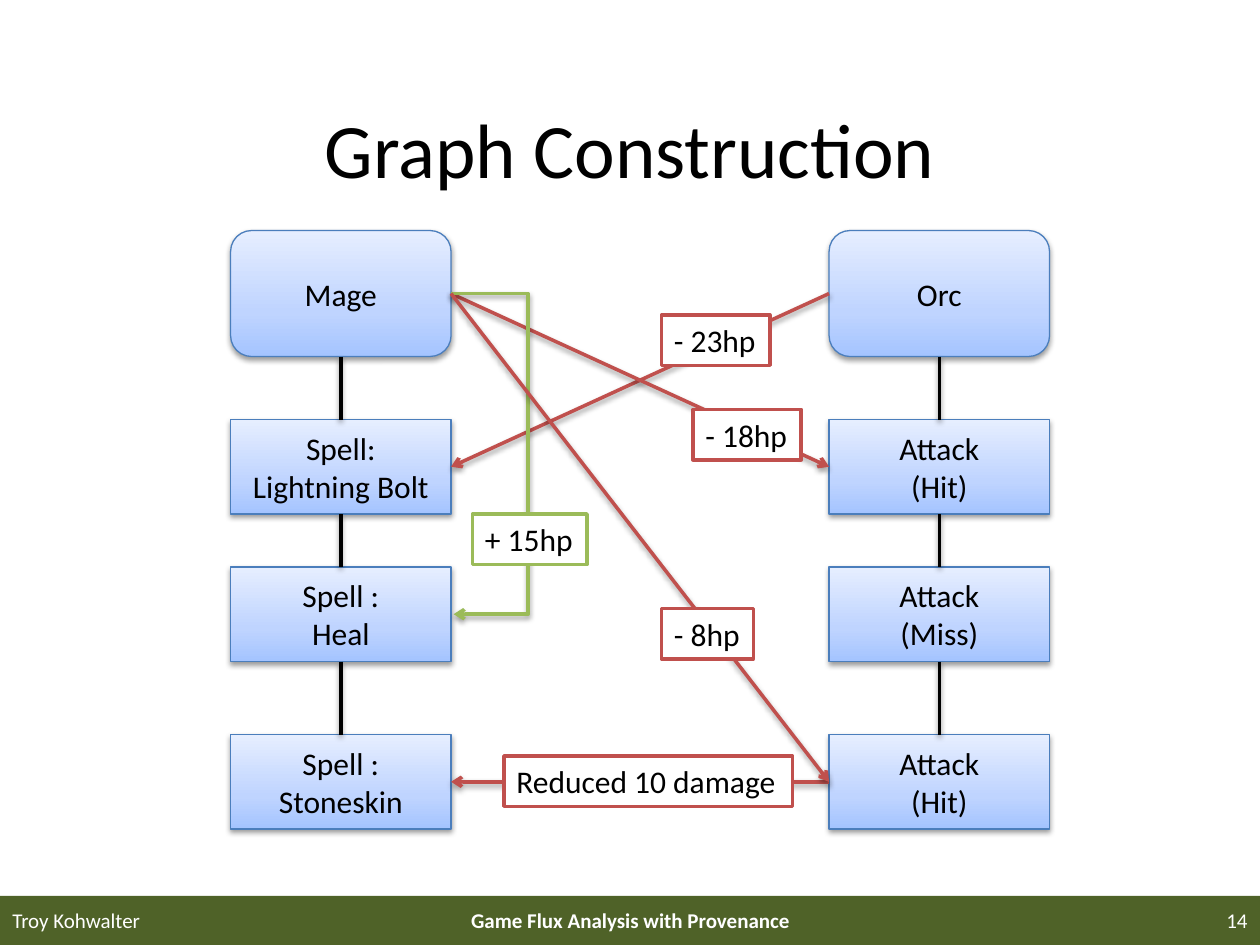
"""Build the Graph Construction slide: two provenance chains and the effects between them."""
from lxml import etree
from pptx import Presentation
from pptx.dml.color import RGBColor
from pptx.enum.shapes import MSO_CONNECTOR, MSO_SHAPE
from pptx.enum.text import MSO_ANCHOR, MSO_AUTO_SIZE, PP_ALIGN
from pptx.oxml.ns import qn
from pptx.util import Inches, Pt

BLACK = RGBColor(0x00, 0x00, 0x00)
WHITE = RGBColor(0xFF, 0xFF, 0xFF)
OLIVE = RGBColor(0x4F, 0x62, 0x28)
BLUE = RGBColor(0x4B, 0x7E, 0xBC)
RED = RGBColor(0xC0, 0x50, 0x4D)
GREEN = RGBColor(0x9B, 0xBB, 0x59)
GRADIENT = [(0, RGBColor(0xA4, 0xC4, 0xFF)), (35, RGBColor(0xBF, 0xD4, 0xFF)),
            (100, RGBColor(0xE6, 0xEE, 0xFF))]
TOP, LEFT, BOTTOM, RIGHT = range(4)


def write(sp, text, size, color, align, anchor=MSO_ANCHOR.MIDDLE, bold=False):
    tf = sp.text_frame
    tf.text = text
    tf.vertical_anchor = anchor
    for p in tf.paragraphs:
        p.alignment = align
        for r in p.runs:
            r.font.name = "Calibri"
            r.font.size = Pt(size)
            r.font.bold = bold
            r.font.color.rgb = color


def add_shadow(sp):
    spPr = sp._element.spPr
    effects = spPr.find(qn("a:effectLst"))
    if effects is None:
        effects = etree.SubElement(spPr, qn("a:effectLst"))
    shadow = etree.SubElement(effects, qn("a:outerShdw"), blurRad=str(Pt(3.1)),
                              dist=str(Pt(1.6)), dir="5400000", rotWithShape="0")
    color = etree.SubElement(shadow, qn("a:srgbClr"), val=str(BLACK))
    etree.SubElement(color, qn("a:alpha"), val="38000")


prs = Presentation()
prs.slide_width, prs.slide_height = Inches(10), Inches(7.5)
s = prs.slides.add_slide(prs.slide_layouts[5])

title = s.shapes.title
title.left, title.top = Inches(0.5), Inches(0.55)
title.width, title.height = Inches(9), Inches(1.25)
write(title, "Graph Construction", 44, BLACK, PP_ALIGN.CENTER)

bar = s.shapes.add_shape(MSO_SHAPE.RECTANGLE, 0, Inches(7.11), Inches(10), Inches(0.39))
bar.shadow.inherit = False
bar.fill.solid()
bar.fill.fore_color.rgb = OLIVE
bar.line.fill.background()

footers = [
    ("Troy Kohwalter", 0, 2.33, PP_ALIGN.LEFT, False),
    ("Game Flux Analysis with Provenance", 3.42, 3.17, PP_ALIGN.CENTER, True),
    ("14", 7.67, 2.33, PP_ALIGN.RIGHT, False),
]
for text, x, w, align, bold in footers:
    sp = s.shapes.add_textbox(Inches(x), Inches(7.1), Inches(w), Inches(0.4))
    sp.text_frame.word_wrap = True
    write(sp, text, 12, WHITE, align, bold=bold)

rows = [(1.83, 1), (3.33, 0.75), (4.5, 0.75), (5.83, 0.75)]
chains = [
    (1.83, ["Mage", "Spell:\nLightning Bolt", "Spell :\nHeal", "Spell :\nStoneskin"]),
    (6.58, ["Orc", "Attack\n(Hit)", "Attack\n(Miss)", "Attack\n(Hit)"]),
]
nodes = []
for x, texts in chains:
    chain = []
    for i, (text, (y, h)) in enumerate(zip(texts, rows)):
        kind = MSO_SHAPE.RECTANGLE if i else MSO_SHAPE.ROUNDED_RECTANGLE
        sp = s.shapes.add_shape(kind, Inches(x), Inches(y), Inches(1.75), Inches(h))
        sp.fill.gradient()
        sp.fill.gradient_angle = 90
        stops = sp._element.spPr.find(qn("a:gradFill")).find(qn("a:gsLst"))
        for stop in list(stops):
            stops.remove(stop)
        for pos, rgb in GRADIENT:
            stop = etree.SubElement(stops, qn("a:gs"), pos=str(pos * 1000))
            etree.SubElement(stop, qn("a:srgbClr"), val=str(rgb))
        sp.line.color.rgb = BLUE
        sp.line.width = Pt(0.75)
        sp.shadow.inherit = False
        add_shadow(sp)
        write(sp, text, 18, BLACK, PP_ALIGN.CENTER)
        chain.append(sp)
    nodes.append(chain)

mage, bolt, heal, stoneskin = nodes[0]
orc, first_hit, miss, last_hit = nodes[1]
links = [(a, BOTTOM, b, TOP, BLACK) for chain in nodes for a, b in zip(chain, chain[1:])]
links += [
    (orc, LEFT, bolt, RIGHT, RED),
    (mage, RIGHT, first_hit, LEFT, RED),
    (last_hit, LEFT, stoneskin, RIGHT, RED),
    (mage, RIGHT, heal, RIGHT, GREEN),
    (mage, RIGHT, last_hit, LEFT, RED),
]
for source, start, target, end, color in links:
    kind = MSO_CONNECTOR.ELBOW if color == GREEN else MSO_CONNECTOR.STRAIGHT
    line = s.shapes.add_connector(kind, 0, 0, 0, 0)
    line.begin_connect(source, start)
    line.end_connect(target, end)
    line.line.color.rgb = color
    line.line.width = Pt(2)
    if color == GREEN:
        line.end_x = line.begin_x + Inches(0.02)
        guides = line._element.spPr.find(qn("a:prstGeom")).get_or_add_avLst()
        ratio = Inches(0.61) / Inches(0.02)
        etree.SubElement(guides, qn("a:gd"), name="adj1", fmla=f"val {round(ratio * 100000)}")
    if color != BLACK:
        etree.SubElement(line.line._get_or_add_ln(), qn("a:tailEnd"), type="arrow")
    add_shadow(line)

labels = [
    ("- 23hp", 5.25, 2.5, 0.86, RED),
    ("- 18hp", 5.5, 3.25, 0.86, RED),
    ("Reduced 10 damage", 4, 6, 2.29, RED),
    ("+ 15hp", 3.75, 4.08, 0.91, GREEN),
    ("- 8hp", 5.25, 4.83, 0.73, RED),
]
for text, x, y, w, color in labels:
    sp = s.shapes.add_shape(MSO_SHAPE.RECTANGLE, Inches(x), Inches(y), Inches(w), Inches(0.4))
    sp.shadow.inherit = False
    sp.fill.solid()
    sp.fill.fore_color.rgb = WHITE
    sp.line.color.rgb = color
    sp.line.width = Pt(2)
    sp.text_frame.word_wrap = False
    sp.text_frame.auto_size = MSO_AUTO_SIZE.SHAPE_TO_FIT_TEXT
    write(sp, text, 18, BLACK, PP_ALIGN.LEFT, MSO_ANCHOR.TOP)

prs.save("out.pptx")
